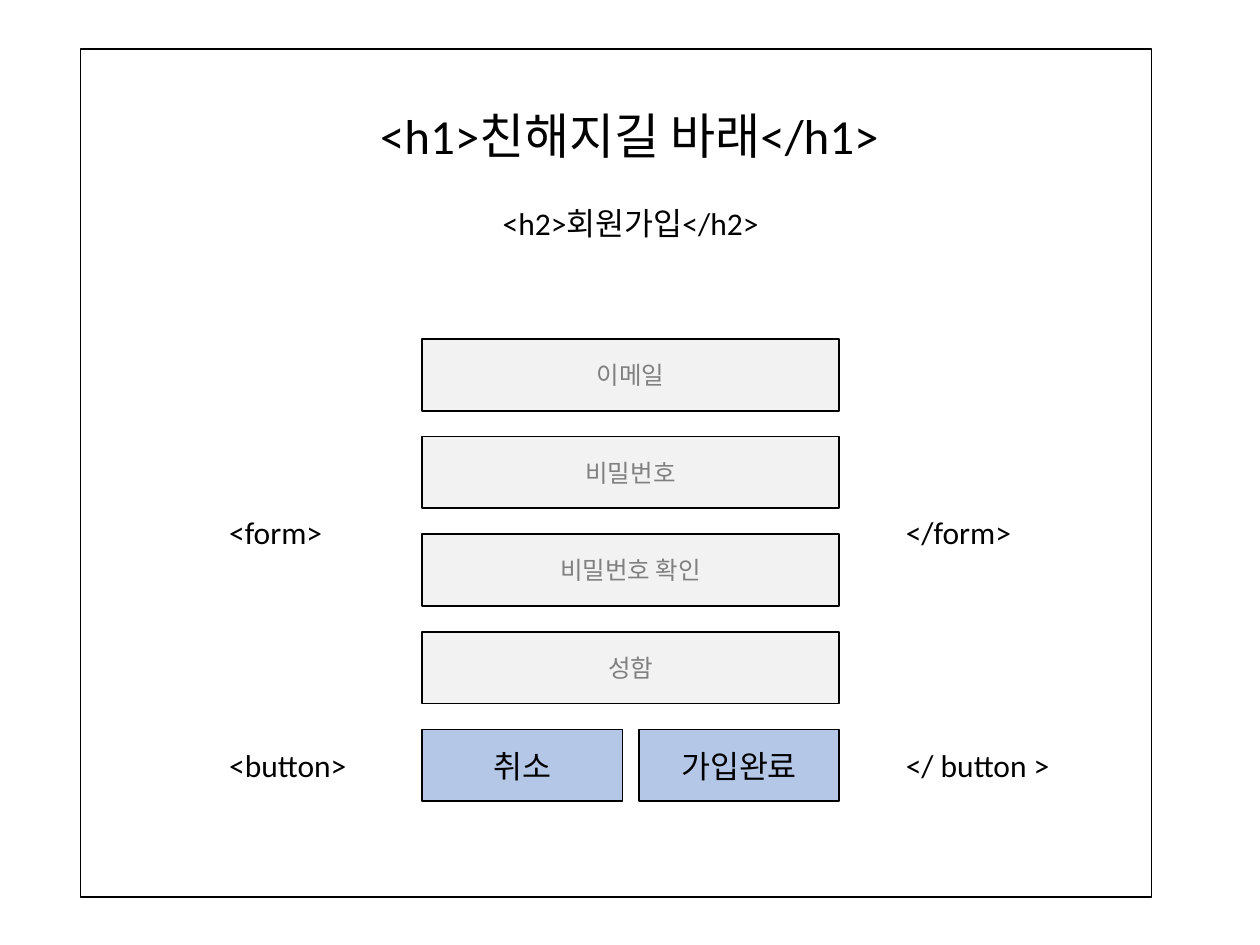
from dataclasses import dataclass

from pptx import Presentation
from pptx.dml.color import RGBColor
from pptx.enum import shapes, text
from pptx.util import Inches, Pt

BLACK = RGBColor(0x00, 0x00, 0x00)
WHITE = RGBColor(0xFF, 0xFF, 0xFF)
GREY = RGBColor(0x80, 0x80, 0x80)
FIELD_FILL = RGBColor(0xF2, 0xF2, 0xF2)
BUTTON_FILL = RGBColor(0xB4, 0xC7, 0xE7)
CENTER, LEFT = text.PP_ALIGN.CENTER, text.PP_ALIGN.LEFT
TOP, MIDDLE = text.MSO_ANCHOR.TOP, text.MSO_ANCHOR.MIDDLE

FORM_X, FORM_Y = 3.35, 2.69
FIELD_W, BUTTON_W, ROW_H = 3.31, 1.59, 0.57
ROW_STEP = 0.775
BUTTON_STEP = FIELD_W - BUTTON_W


@dataclass
class Box:
    x: float
    y: float
    w: float
    h: float

    def lengths(self) -> list:
        return [Inches(v) for v in (self.x, self.y, self.w, self.h)]


@dataclass
class Label:
    words: str
    box: Box
    align: text.PP_ALIGN = LEFT


def write(sp, words: str, *, size: float = 18, color: RGBColor = BLACK,
          align: text.PP_ALIGN = CENTER, anchor: text.MSO_ANCHOR = TOP) -> None:
    tf = sp.text_frame
    tf.word_wrap = True
    tf.vertical_anchor = anchor
    p = tf.paragraphs[0]
    p.alignment = align
    r = p.add_run()
    r.text = words
    r.font.name, r.font.size = "Calibri", Pt(size)
    r.font.color.rgb = color


def add_box(s, box: Box, fill: RGBColor):
    sp = s.shapes.add_shape(shapes.MSO_SHAPE.RECTANGLE, *box.lengths())
    sp.shadow.inherit = False
    sp.fill.solid()
    sp.fill.fore_color.rgb = fill
    sp.line.color.rgb = BLACK
    sp.line.width = Pt(1)
    return sp


def add_label(s, label: Label) -> None:
    sp = s.shapes.add_textbox(*label.box.lengths())
    write(sp, label.words, align=label.align)
    sp.text_frame.auto_size = text.MSO_AUTO_SIZE.SHAPE_TO_FIT_TEXT


prs = Presentation()
prs.slide_width, prs.slide_height = Inches(10), Inches(7.5)
s = prs.slides.add_slide(prs.slide_layouts[5])

# Page frame, placed behind the title
title = s.shapes.title
frame = add_box(s, Box(0.64, 0.39, 8.5, 6.73), WHITE)
title.element.addprevious(frame.element)

# Title
title.left, title.top, title.width, title.height = Box(2.75, 0.79, 4.49, 0.57).lengths()
write(title, "<h1>친해지길 바래</h1>", size=28)
title.text_frame.auto_size = text.MSO_AUTO_SIZE.SHAPE_TO_FIT_TEXT

# Input fields
fields = ["이메일", "비밀번호", "비밀번호 확인", "성함"]
for i, words in enumerate(fields):
    sp = add_box(s, Box(FORM_X, FORM_Y + i * ROW_STEP, FIELD_W, ROW_H), FIELD_FILL)
    write(sp, words, size=14, color=GREY, anchor=MIDDLE)

# Buttons in the row below the fields
button_y = FORM_Y + len(fields) * ROW_STEP
for i, words in enumerate(["취소", "가입완료"]):
    sp = add_box(s, Box(FORM_X + i * BUTTON_STEP, button_y, BUTTON_W, ROW_H), BUTTON_FILL)
    write(sp, words, anchor=MIDDLE)

# Subtitle and tag labels
for label in [
    Label("<h2>회원가입</h2>", Box(2.99, 1.57, 4.03, 0.4), CENTER),
    Label("<form>", Box(1.72, 4.02, 1.02, 0.4)),
    Label("</form>", Box(7.09, 4.02, 1.22, 0.4)),
    Label("<button>", Box(1.72, 5.87, 1.22, 0.4)),
    Label("</ button >", Box(7.09, 5.87, 1.45, 0.4)),
]:
    add_label(s, label)

prs.save("out.pptx")
